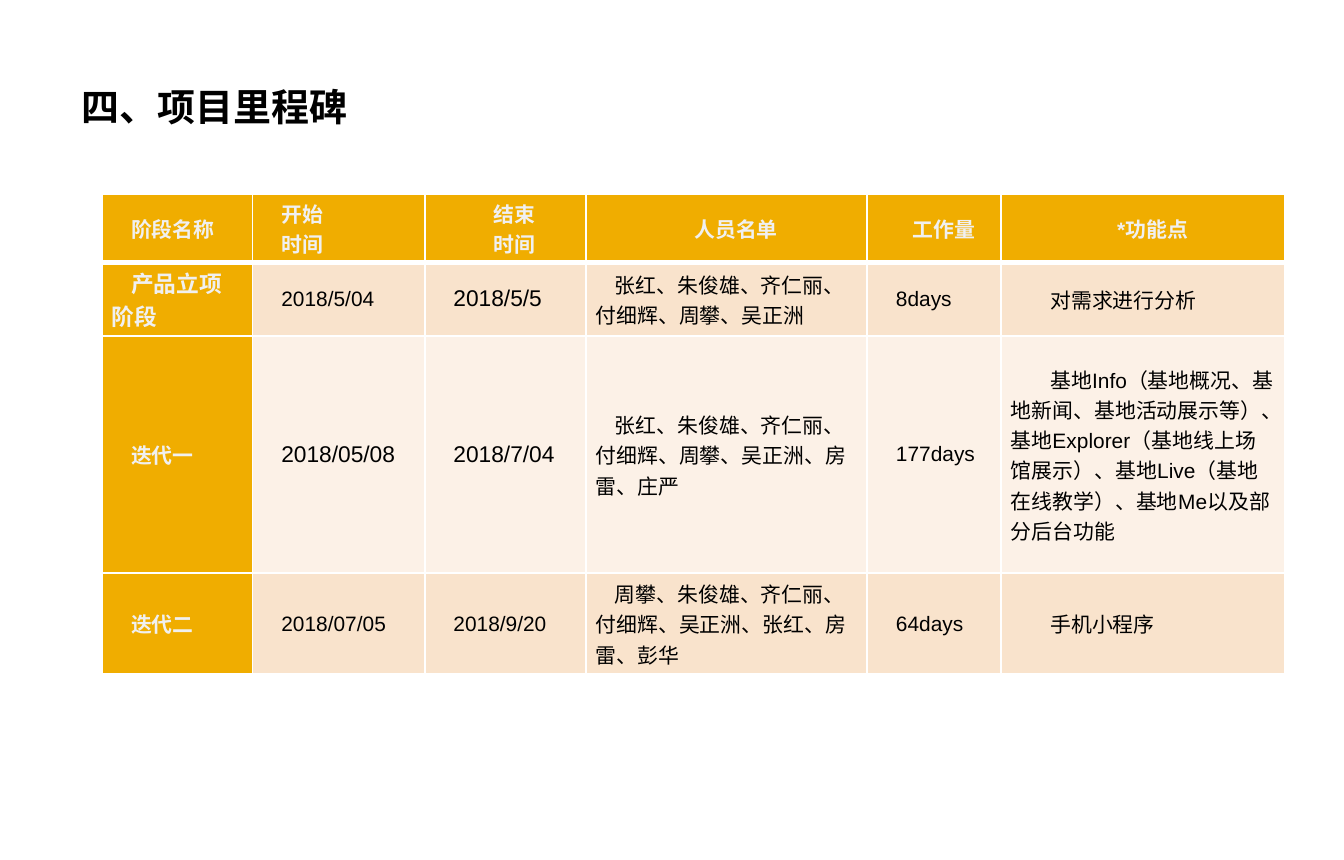
import pptx
import pptx.util
import pptx.dml.color
import pptx.enum.text
import pptx.oxml
import pptx.oxml.ns
import lxml.etree

Inches = pptx.util.Inches
CJK_FONT = "Noto Sans CJK SC"
GOLD, PALE, WHITE, BLACK = "F0AD00", "F0F0F0", "FFFFFF", "000000"
BANDS = ["F9E3CC", "FCF1E7"]


def color(value):
    return pptx.dml.color.RGBColor.from_string(value)


def add_run(para, text, size, font, ink, bold):
    span = para.add_run()
    span.text = text
    span.font.size = pptx.util.Pt(size)
    span.font.name = font
    span.font.bold = bold
    span.font.color.rgb = color(ink)
    east_asian = lxml.etree.SubElement(span.font._element, pptx.oxml.ns.qn("a:ea"))
    east_asian.set("typeface", CJK_FONT)


deck = pptx.Presentation()
deck.slide_width = Inches(9.84)
deck.slide_height = Inches(6.3)
page = deck.slides.add_slide(deck.slide_layouts[6])

title = page.shapes.add_textbox(Inches(0.5), Inches(0.56), Inches(9), Inches(0.79))
title.text_frame.word_wrap = True
add_run(title.text_frame.paragraphs[0], "四、项目里程碑", 20, CJK_FONT, BLACK, True)

column_widths = [1.1, 1.26, 1.18, 2.06, 0.98, 2.08]
row_heights = [0.5, 0.54, 1.74, 0.74]
milestones = [
    ["阶段名称", "开始\n时间", "结束\n时间", "人员名单", "工作量", "*功能点"],
    ["产品立项阶段", "2018/5/04", "2018/5/5", "张红、朱俊雄、齐仁丽、付细辉、周攀、吴正洲",
     "8days", "对需求进行分析"],
    ["迭代一", "2018/05/08", "2018/7/04", "张红、朱俊雄、齐仁丽、付细辉、周攀、吴正洲、房雷、庄严",
     "177days", "基地Info（基地概况、基地新闻、基地活动展示等）、基地Explorer（基地线上场馆展示）、"
     "基地Live（基地在线教学）、基地Me以及部分后台功能"],
    ["迭代二", "2018/07/05", "2018/9/20", "周攀、朱俊雄、齐仁丽、付细辉、吴正洲、张红、房雷、彭华",
     "64days", "手机小程序"],
]
larger_cells = {(1, 0), (1, 2), (2, 1), (2, 2)}

table = page.shapes.add_table(
    len(row_heights), len(column_widths), Inches(0.75), Inches(1.42),
    Inches(sum(column_widths)), Inches(sum(row_heights))).table
for column, width in zip(table.columns, column_widths):
    column.width = Inches(width)
for row, height in zip(table.rows, row_heights):
    row.height = Inches(height)

for r, texts in enumerate(milestones):
    for c, text in enumerate(texts):
        cell = table.cell(r, c)
        heading = r == 0 or c == 0
        cell.fill.solid()
        cell.fill.fore_color.rgb = color(GOLD if heading else BANDS[(r - 1) % 2])
        cell.vertical_anchor = pptx.enum.text.MSO_ANCHOR.MIDDLE
        cell.margin_left = cell.margin_right = Inches(0.07)
        cell.margin_top = cell.margin_bottom = 0

        indent = 0.29 if r > 0 and c == 5 else 0.14
        for i, line in enumerate(text.split("\n")):
            para = cell.text_frame.paragraphs[0] if i == 0 else cell.text_frame.add_paragraph()
            para._p.get_or_add_pPr().set("indent", str(Inches(indent)))
            if r == 0 and c > 1:
                para.alignment = pptx.enum.text.PP_ALIGN.CENTER
            add_run(para, line, 12 if (r, c) in larger_cells else 11, "Arial",
                    PALE if heading else BLACK, heading)

        properties = cell._tc.get_or_add_tcPr()
        for i, side in enumerate(["lnL", "lnR", "lnT", "lnB"]):
            thick = (r, side) in [(0, "lnB"), (1, "lnT")]
            border = pptx.oxml.parse_xml(
                f'<a:{side} {pptx.oxml.ns.nsdecls("a")} w="{pptx.util.Pt(3 if thick else 1)}">'
                f'<a:solidFill><a:srgbClr val="{WHITE}"/></a:solidFill></a:{side}>')
            properties.insert(i, border)

deck.save("out.pptx")
